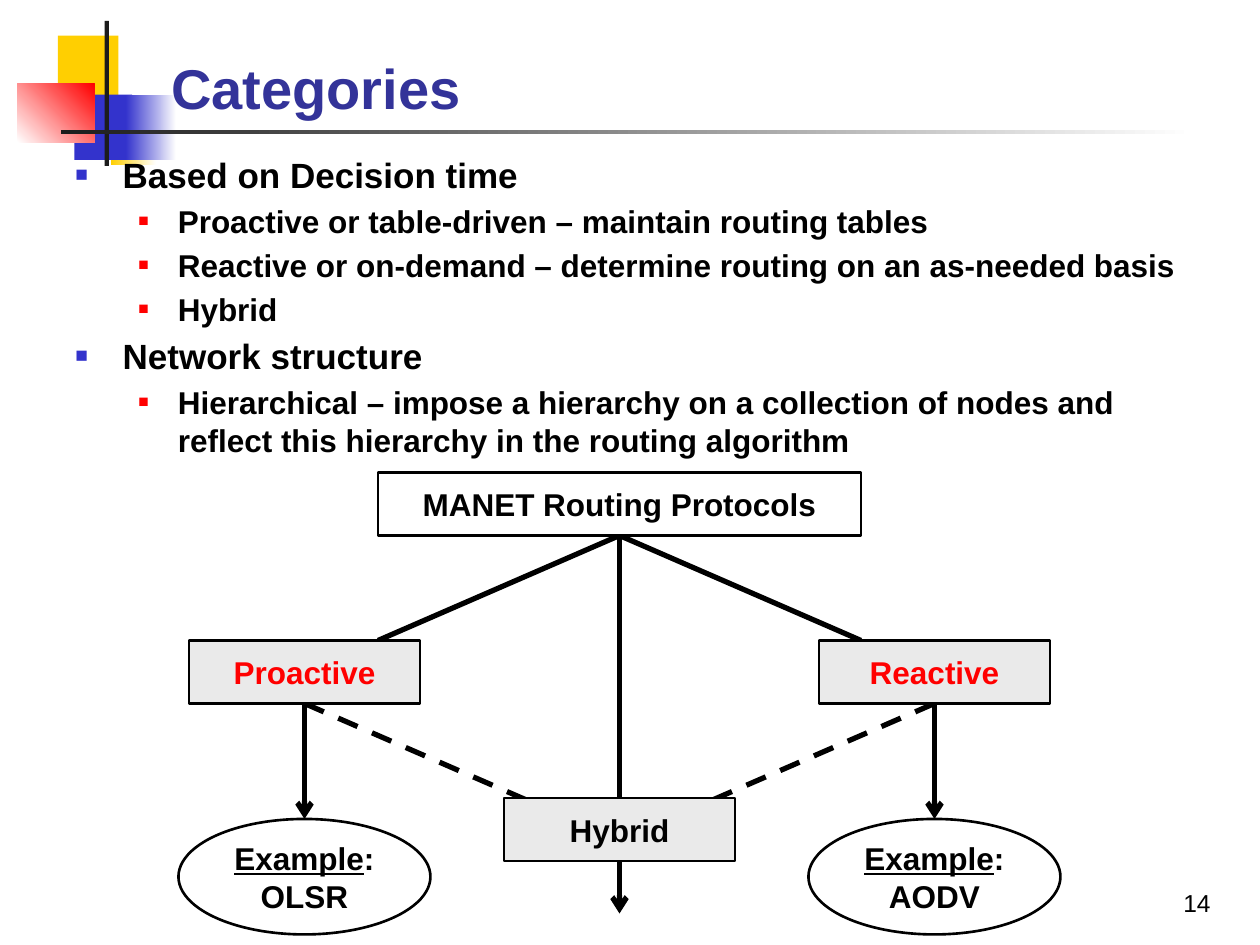
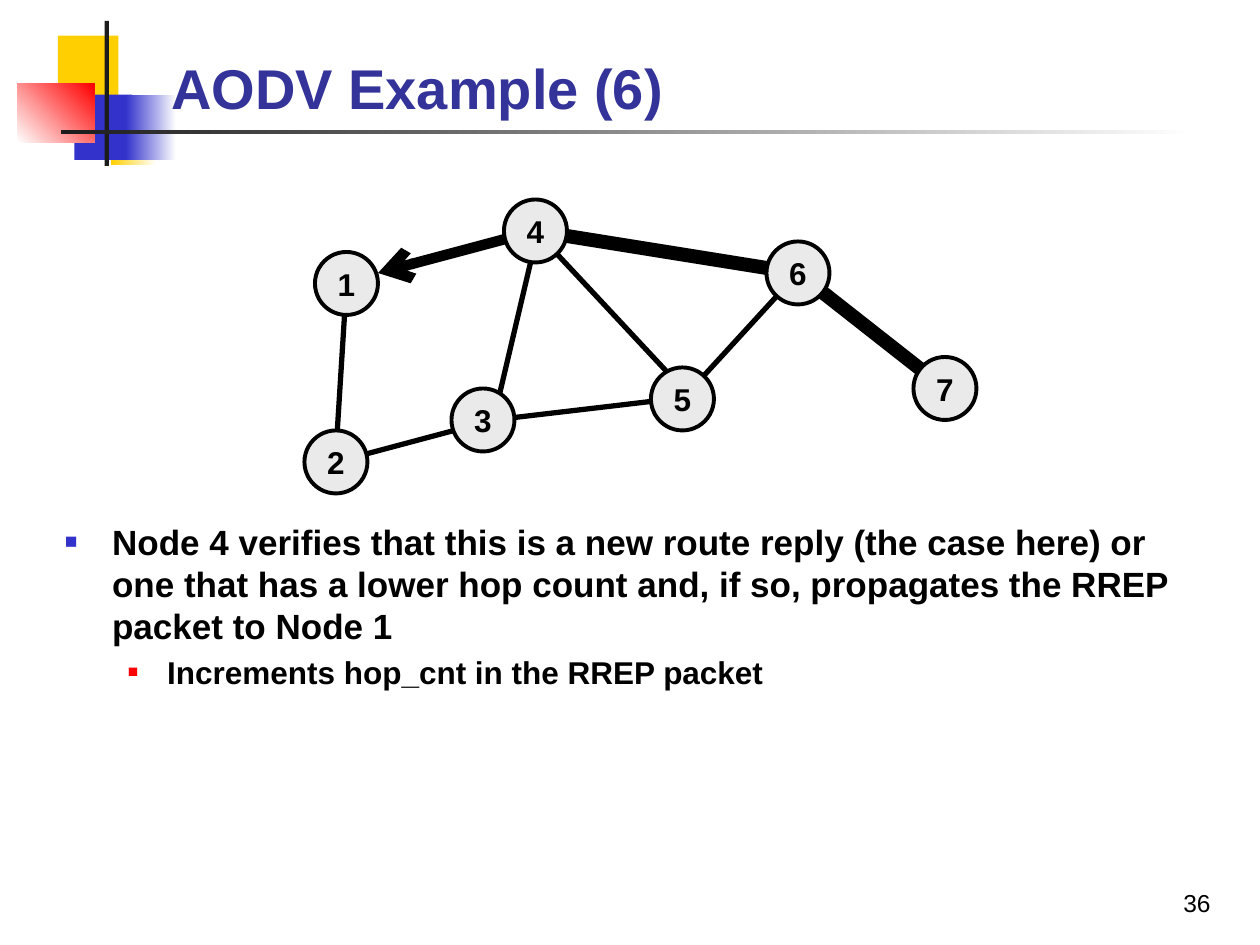
"""Build two slides on routing categories and an AODV route reply."""
from lxml.etree import SubElement
from pptx import Presentation
from pptx.dml.color import RGBColor
from pptx.enum.dml import MSO_LINE
from pptx.enum.shapes import MSO_CONNECTOR, MSO_SHAPE
from pptx.enum.text import MSO_ANCHOR, PP_ALIGN
from pptx.oxml.ns import qn
from pptx.util import Pt

BLACK = RGBColor(0x00, 0x00, 0x00)
WHITE = RGBColor(0xFF, 0xFF, 0xFF)
CHARCOAL = RGBColor(0x1C, 0x1C, 0x1C)
GREY = RGBColor(0xEA, 0xEA, 0xEA)
YELLOW = RGBColor(0xFF, 0xCF, 0x01)
BLUE = RGBColor(0x33, 0x33, 0xCC)
NAVY = RGBColor(0x33, 0x33, 0x99)
RED = RGBColor(0xFF, 0x00, 0x00)
RECT = MSO_SHAPE.RECTANGLE
OVAL = MSO_SHAPE.OVAL


def add_span(para, text, size, color=BLACK, bold=True, underline=False):
    span = para.add_run()
    span.text = text
    font = span.font
    font.name, font.size, font.bold = "Arial", Pt(size), bold
    font.color.rgb = color
    if underline:
        font.underline = True


def add_link(page, start, end, width=3, arrow=False, dashed=False):
    link = page.shapes.add_connector(MSO_CONNECTOR.STRAIGHT, *map(Pt, start + end))
    link.line.color.rgb = BLACK
    link.line.width = Pt(width)
    if dashed:
        link.line.dash_style = MSO_LINE.DASH
    properties = link._element.spPr
    if arrow:
        SubElement(properties.find(qn("a:ln")), qn("a:tailEnd"), type="arrow")
    SubElement(properties, qn("a:effectLst"))


deck = Presentation()
deck.slide_width, deck.slide_height = Pt(720), Pt(540)
categories, example = [deck.slides.add_slide(deck.slide_layouts[6]) for _ in range(2)]

ornaments = [
    ((33.1, 20.3, 34.5, 37.4), [YELLOW], 0),
    ((63.4, 56.9, 25.9, 37.4), [YELLOW, WHITE], 0),
    ((42.5, 54, 33.1, 37.4), [BLUE], 0),
    ((72, 54, 28.8, 37.4), [BLUE, WHITE], 0),
    ((10, 48, 44, 33.4), [WHITE, RED], 45),
    ((59.8, 12, 2.4, 82.8), [CHARCOAL], 0),
    ((34.6, 74.3, 648, 2.2), [CHARCOAL, WHITE], 0),
]
bullet_styles = [
    {"size": 20, "margin": 27, "hang": 27, "color": BLUE, "scale": 60},
    {"size": 18, "margin": 58.5, "hang": 22.5, "color": RED, "scale": 55},
]
contents = [
    (categories, "Categories", "14", (36, 84, 666, 162), [
        (0, "Based on Decision time"),
        (1, "Proactive or table-driven – maintain routing tables"),
        (1, "Reactive or on-demand – determine routing on an as-needed basis"),
        (1, "Hybrid"),
        (0, "Network structure"),
        (1, "Hierarchical – impose a hierarchy on a collection of nodes and "
            "reflect this hierarchy in the routing algorithm"),
    ]),
    (example, "AODV Example (6)", "36", (30, 294, 654, 192), [
        (0, "Node 4 verifies that this is a new route reply (the case here) or one "
            "that has a lower hop count and, if so, propagates the RREP packet to Node 1"),
        (1, "Increments hop_cnt in the RREP packet"),
    ]),
]

for page, title, number, body_area, bullets in contents:
    for area, colors, angle in ornaments:
        ornament = page.shapes.add_shape(RECT, *map(Pt, area))
        ornament.shadow.inherit = False
        ornament.line.fill.background()
        if len(colors) == 1:
            ornament.fill.solid()
            ornament.fill.fore_color.rgb = colors[0]
        else:
            ornament.fill.gradient()
            ornament.fill.gradient_angle = angle
            for stop, color in zip(ornament.fill.gradient_stops, colors):
                stop.color.rgb = color

    areas = [(90.7, 13, 613.4, 59.8), body_area, (648, 504, 72, 36)]
    frames = [page.shapes.add_textbox(*map(Pt, area)).text_frame for area in areas]
    for frame in frames:
        frame.word_wrap = True
    heading, body, footer = frames
    heading.vertical_anchor = MSO_ANCHOR.BOTTOM
    add_span(heading.paragraphs[0], title, 32, NAVY)
    footer.paragraphs[0].alignment = PP_ALIGN.CENTER
    add_span(footer.paragraphs[0], number, 14, bold=False)

    for index, (level, text) in enumerate(bullets):
        style = bullet_styles[level]
        para = body.add_paragraph() if index else body.paragraphs[0]
        para.level = level
        if index:
            para.space_before = Pt(style["size"] * 0.2)
        properties = para._p.get_or_add_pPr()
        properties.set("marL", str(Pt(style["margin"])))
        properties.set("indent", str(-Pt(style["hang"])))
        bullet_color = SubElement(properties, qn("a:buClr"))
        SubElement(bullet_color, qn("a:srgbClr"), val=str(style["color"]))
        SubElement(properties, qn("a:buSzPct"), val=str(style["scale"] * 1000))
        SubElement(properties, qn("a:buFont"), typeface="Arial")
        SubElement(properties, qn("a:buChar"), char="■")
        add_span(para, text, style["size"])

root, proactive, reactive = (354, 306), (174, 402), (534, 402)
add_link(categories, root, (354, 462))
add_link(categories, (354, 492), (354, 522), arrow=True)
for branch, branch_top, hybrid_corner in [
    (reactive, (492, 366), (396, 462)),
    (proactive, (216, 366), (312, 462)),
]:
    add_link(categories, branch, (branch[0], 468), arrow=True)
    add_link(categories, branch, hybrid_corner, dashed=True)
    add_link(categories, root, branch_top)

for start, end in [
    ((198, 162), (192, 258)),
    ((306, 132), (390, 222)),
    ((192, 264), (282, 240)),
    ((306, 138), (282, 240)),
    ((282, 240), (384, 228)),
    ((456, 156), (390, 228)),
]:
    add_link(example, start, end)
add_link(example, (306, 132), (216, 156), width=6, arrow=True)
add_link(example, (306, 132), (456, 156), width=8)
add_link(example, (456, 156), (540, 222), width=8)

nodes = [
    (categories, RECT, (216, 270, 276, 36), WHITE, 1.5, BLACK, [["MANET Routing Protocols"]]),
    (categories, RECT, (288, 456, 132, 36), GREY, 1.5, BLACK, [["Hybrid"]]),
    (categories, RECT, (108, 366, 132, 36), GREY, 1.5, RED, [["Proactive"]]),
    (categories, RECT, (468, 366, 132, 36), GREY, 1.5, RED, [["Reactive"]]),
]
for left, protocol in [(102, "OLSR"), (462, "AODV")]:
    lines = [["Example", ":"], [protocol]]
    nodes.append((categories, OVAL, (left, 468, 144, 66), WHITE, 1.5, BLACK, lines))
for label, left, top in [
    ("1", 180, 144), ("4", 288, 114), ("3", 258, 222), ("5", 372, 210),
    ("2", 174, 246), ("6", 438, 138), ("7", 522, 204),
]:
    nodes.append((example, OVAL, (left, top, 36, 36), GREY, 2.25, BLACK, [[label]]))

for page, outline, area, fill, edge, color, lines in nodes:
    node = page.shapes.add_shape(outline, *map(Pt, area))
    node.shadow.inherit = False
    node.fill.solid()
    node.fill.fore_color.rgb = fill
    node.line.color.rgb = BLACK
    node.line.width = Pt(edge)
    frame = node.text_frame
    frame.word_wrap = False
    frame.vertical_anchor = MSO_ANCHOR.MIDDLE
    for index, texts in enumerate(lines):
        para = frame.add_paragraph() if index else frame.paragraphs[0]
        para.alignment = PP_ALIGN.CENTER
        for text in texts:
            add_span(para, text, 18, color, underline=text == "Example")

deck.save("out.pptx")
